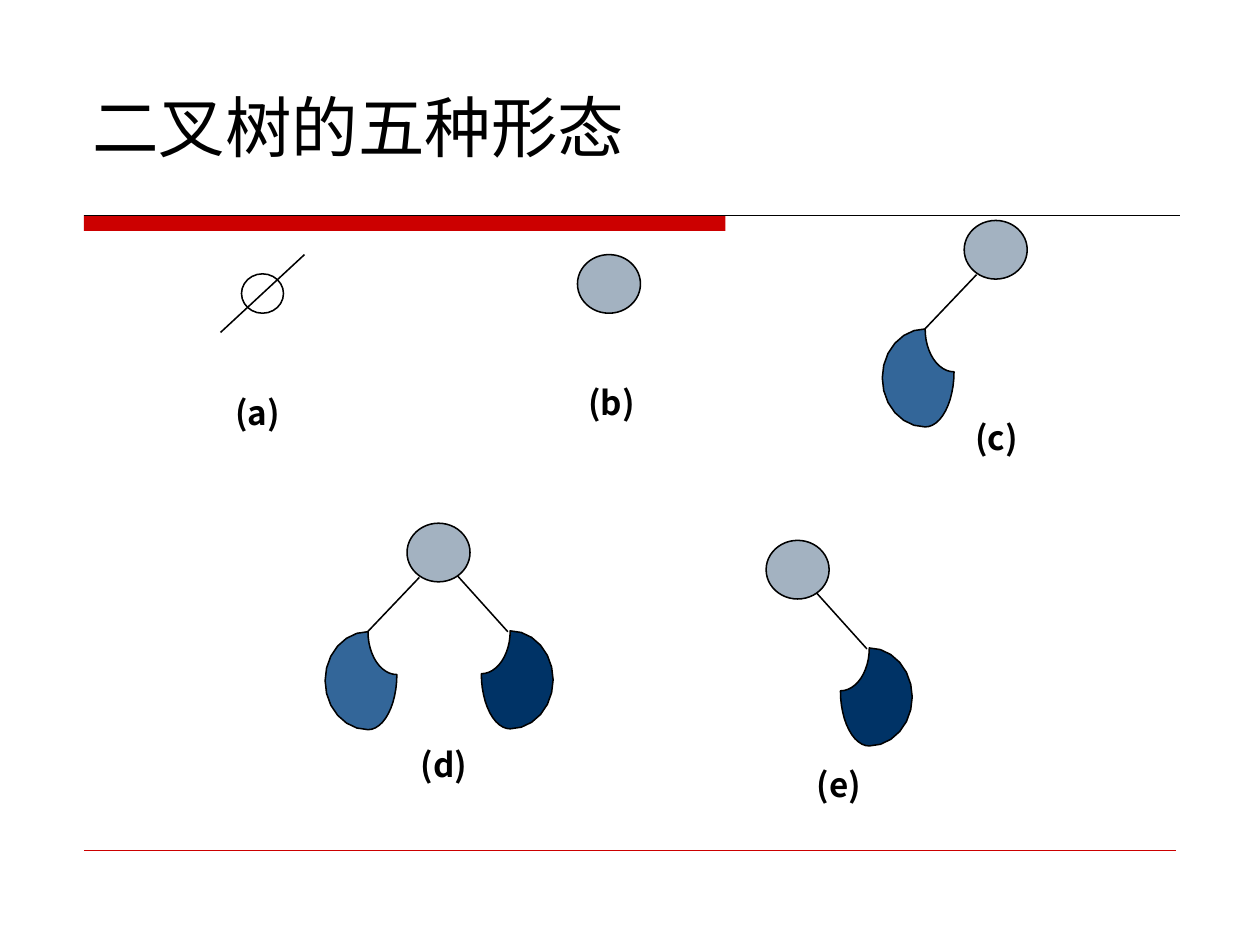
"""Build the slide on the five forms of a binary tree."""
from math import cos, radians, sin

from lxml import etree
from pptx import Presentation
from pptx import util as u
from pptx.dml.color import RGBColor
from pptx.enum import shapes, text
from pptx.oxml import ns

Pt = u.Pt
COLORS = {
    "ink": "000000",
    "accent": "CC0000",
    "empty": "FFFFFF",
    "node": "A3B2C1",
    "left": "336699",
    "right": "003366",
}
NODE_W, NODE_H = 36, 33.5
OUTLINE = 0.88

deck = Presentation()
deck.slide_width, deck.slide_height = Pt(720), Pt(540)
slide = deck.slides.add_slide(deck.slide_layouts[6])


def paint(shape, fill, outlined=True):
    shape.shadow.inherit = False
    shape.fill.solid()
    shape.fill.fore_color.rgb = RGBColor.from_string(COLORS[fill])
    if outlined:
        shape.line.color.rgb = RGBColor.from_string(COLORS["ink"])
        shape.line.width = Pt(OUTLINE)
    else:
        shape.line.fill.background()


def draw_line(x1, y1, x2, y2, color="ink", width=OUTLINE):
    line = slide.shapes.add_connector(
        shapes.MSO_CONNECTOR.STRAIGHT, Pt(x1), Pt(y1), Pt(x2), Pt(y2))
    line.line.color.rgb = RGBColor.from_string(COLORS[color])
    line.line.width = Pt(width)
    etree.SubElement(line._element.spPr, ns.qn("a:effectLst"))


banner = slide.shapes.add_shape(
    shapes.MSO_SHAPE.RECTANGLE, Pt(48), Pt(123), Pt(366.5), Pt(9))
paint(banner, "accent", outlined=False)
draw_line(48, 123, 674.5, 123, width=0.75)
draw_line(48, 486, 672, 486, "accent", 0.25)

title = slide.shapes.add_textbox(Pt(45.5), Pt(24), Pt(630), Pt(96)).text_frame
title.word_wrap = True
title.vertical_anchor = text.MSO_ANCHOR.MIDDLE
heading = title.paragraphs[0].add_run()
heading.text = "二叉树的五种形态"
heading.font.name = "DejaVu Sans"
heading.font.size = Pt(38)
heading.font.color.rgb = RGBColor.from_string(COLORS["ink"])

empty_tree = slide.shapes.add_shape(
    shapes.MSO_SHAPE.OVAL, Pt(138), Pt(156.5), Pt(24), Pt(22.5))
paint(empty_tree, "empty")
draw_line(126, 190, 174, 145.5)

left_outline = []
for cx, cy, rx, ry, start, stop in (
        (41, 0, 16.5, 24.5, 90, 180),
        (24.5, 28, 24.5, 28, 270, 90),
        (24.5, 24.5, 16.5, 31.5, 90, 0)):
    for step in range(13):
        angle = radians(start + (stop - start) * step / 12)
        left_outline.append((cx + rx * cos(angle), cy + ry * sin(angle)))

SIDES = {
    "left": {"at": (-46.8, 62), "edge": (7, 31, -22.5, 62), "mirror": False},
    "right": {"at": (42.5, 61.5), "edge": (28.8, 30, 57.6, 62), "mirror": True},
}
TREES = [
    (330, 145.5, []),
    (551, 126, ["left"]),
    (232.6, 299, ["left", "right"]),
    (437.8, 308.8, ["right"]),
]
for x, y, children in TREES:
    root = slide.shapes.add_shape(
        shapes.MSO_SHAPE.OVAL, Pt(x), Pt(y), Pt(NODE_W), Pt(NODE_H))
    paint(root, "node")
    for child in children:
        side = SIDES[child]
        dx, dy = side["at"]
        outline = [(Pt(x + dx + (41 - px if side["mirror"] else px)), Pt(y + dy + py))
                   for px, py in left_outline]
        builder = slide.shapes.build_freeform(*outline[0])
        builder.add_line_segments(outline[1:], close=True)
        paint(builder.convert_to_shape(), child)
        x1, y1, x2, y2 = side["edge"]
        draw_line(x + x1, y + y1, x + x2, y + y2)

LABELS = [("(a)", 134.6, 224), ("(b)", 336.2, 218.2), ("(c)", 557.3, 238.3),
          ("(d)", 240.5, 425.5), ("(e)", 466.6, 437)]
for caption, x, y in LABELS:
    label = slide.shapes.add_textbox(Pt(x), Pt(y), Pt(28.8), Pt(22.7)).text_frame
    label.margin_left = label.margin_right = label.margin_top = label.margin_bottom = 0
    label.word_wrap = False
    label.auto_size = text.MSO_AUTO_SIZE.SHAPE_TO_FIT_TEXT
    letter = label.paragraphs[0].add_run()
    letter.text = caption
    letter.font.name = "Noto Sans CJK SC"
    letter.font.size = Pt(19)
    letter.font.bold = True
    letter.font.color.rgb = RGBColor.from_string(COLORS["ink"])

deck.save("out.pptx")
